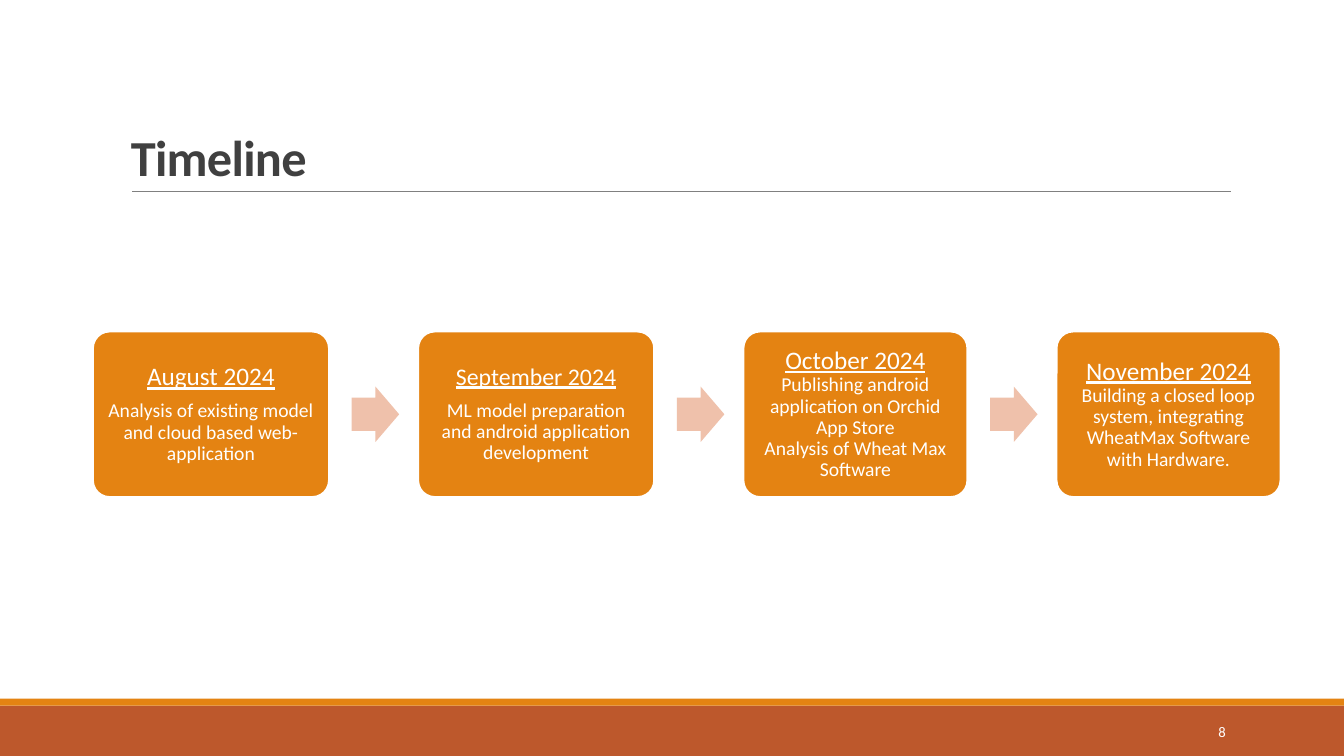
from dataclasses import dataclass

from lxml.etree import SubElement
from pptx import Presentation
from pptx.dml.color import RGBColor
from pptx.enum.shapes import MSO_CONNECTOR, MSO_SHAPE as SHAPE
from pptx.enum.text import MSO_ANCHOR as ANCHOR, PP_ALIGN as ALIGN
from pptx.oxml.ns import qn
from pptx.shapes.autoshape import Shape
from pptx.slide import Slide
from pptx.text.text import TextFrame
from pptx.util import Emu, Inches, Pt

WIDTH, HEIGHT = Inches(13.333), Inches(7.5)
FONT = "Calibri"
ORANGE, RUST, PEACH = "E48312", "BD582C", "EFC1AB"
WHITE, GREY, DARK = "FFFFFF", "808080", "404040"

# Shares of the slide, in percent of its width or height
FIRST_LEFT, GAP = 6.92, 6.65
BOX_TOP, BOX_HEIGHT = 43.87, 21.87
ARROW_INSET, ARROW_WIDTH, ARROW_HEIGHT = 1.7, 3.53, 7.33


@dataclass
class Step:
    month: str
    tasks: list[str]
    width: float
    month_size: float = 18
    month_gap: float = 0


STEPS = [
    Step("August 2024",
         ["Analysis of existing model and cloud based web- application"],
         17.55, month_gap=7),
    Step("September 2024",
         ["ML model preparation and android application development"],
         17.55, month_size=17, month_gap=7),
    Step("October 2024",
         ["Publishing android application on Orchid App Store",
          "Analysis of Wheat Max Software"], 16.65),
    Step("November 2024",
         ["Building a closed loop system, integrating WheatMax Software "
          "with Hardware."], 16.65),
]


def across(share: float) -> Emu:
    return Emu(round(WIDTH * share / 100))


def down(share: float) -> Emu:
    return Emu(round(HEIGHT * share / 100))


def frame(x: float, y: float, w: float, h: float) -> tuple[Emu, Emu, Emu, Emu]:
    return across(x), down(y), across(w), down(h)


def rgb(color: str) -> RGBColor:
    return RGBColor.from_string(color)


def add_block(s: Slide, kind: SHAPE, box: tuple[float, float, float, float],
              fill: str, adjust: tuple[float, ...] = ()) -> Shape:
    sp = s.shapes.add_shape(kind, *frame(*box))
    sp.shadow.inherit = False
    sp.fill.solid()
    sp.fill.fore_color.rgb = rgb(fill)
    sp.line.fill.background()
    for i, value in enumerate(adjust):
        sp.adjustments[i] = value
    return sp


def write(tf: TextFrame, text: str, size: float, color: str = WHITE,
          align: ALIGN = ALIGN.CENTER, spacing: float = 0.9, after: float = 0,
          underline: bool = False, bold: bool = False, tracking: int = 0) -> None:
    """Fill the first paragraph, or append one if it is taken."""
    p = tf.add_paragraph() if tf.text else tf.paragraphs[0]
    p.alignment, p.line_spacing, p.space_after = align, spacing, Pt(after)
    f = p.font
    f.name, f.size, f.bold, f.underline = FONT, Pt(size), bold, underline
    f.color.rgb = rgb(color)
    r = p.add_run()
    r.text = text
    if tracking:
        r.font._element.set("spc", str(tracking))


def add_label(s: Slide, box: tuple[float, float, float, float],
              anchor: ANCHOR) -> TextFrame:
    tf = s.shapes.add_textbox(*frame(*box)).text_frame
    tf.word_wrap = True
    tf.vertical_anchor = anchor
    return tf


def add_rule(s: Slide, left: float, right: float, y: float) -> None:
    rule = s.shapes.add_connector(MSO_CONNECTOR.STRAIGHT, across(left), down(y),
                                  across(right), down(y))
    rule.line.color.rgb = rgb(GREY)
    rule.line.width = Pt(0.5)
    SubElement(rule._element.spPr, qn("a:effectLst"))


def add_step(s: Slide, step: Step, left: float) -> None:
    sp = add_block(s, SHAPE.ROUNDED_RECTANGLE,
                   (left, BOX_TOP, step.width, BOX_HEIGHT), ORANGE, (0.1,))
    sp.line.color.rgb = rgb(WHITE)
    sp.line.width = Pt(1.25)
    tf = sp.text_frame
    tf.word_wrap = True
    tf.vertical_anchor = ANCHOR.MIDDLE
    tf.margin_left = tf.margin_right = Inches(0.07)
    tf.margin_top = tf.margin_bottom = Inches(0.07)
    write(tf, step.month, step.month_size, after=step.month_gap, underline=True)
    for task in step.tasks:
        write(tf, task, 14)


def add_timeline(s: Slide) -> None:
    left = FIRST_LEFT
    arrow_top = BOX_TOP + (BOX_HEIGHT - ARROW_HEIGHT) / 2
    for i, step in enumerate(STEPS):
        if i:
            add_block(s, SHAPE.RIGHT_ARROW,
                      (left - GAP + ARROW_INSET, arrow_top, ARROW_WIDTH, ARROW_HEIGHT),
                      PEACH, (0.6, 0.5))
        add_step(s, step, left)
        left += step.width + GAP


def main() -> None:
    prs = Presentation()
    prs.slide_width, prs.slide_height = WIDTH, HEIGHT
    s = prs.slides.add_slide(prs.slide_layouts[6])
    add_block(s, SHAPE.RECTANGLE, (0, 93.33, 100, 6.67), RUST)
    add_block(s, SHAPE.RECTANGLE, (0, 92.4, 100, 0.93), ORANGE)
    add_rule(s, 9.83, 91.58, 25.33)
    write(add_label(s, (9, 4.13, 82.5, 21.2), ANCHOR.BOTTOM), "Timeline", 36,
          DARK, ALIGN.LEFT, 0.85, bold=True, tracking=-50)
    add_timeline(s)
    write(add_label(s, (81.22, 94.13, 10.73, 5.33), ANCHOR.MIDDLE), "8", 10.5,
          align=ALIGN.RIGHT, spacing=1.0)
    prs.save("out.pptx")


if __name__ == "__main__":
    main()
